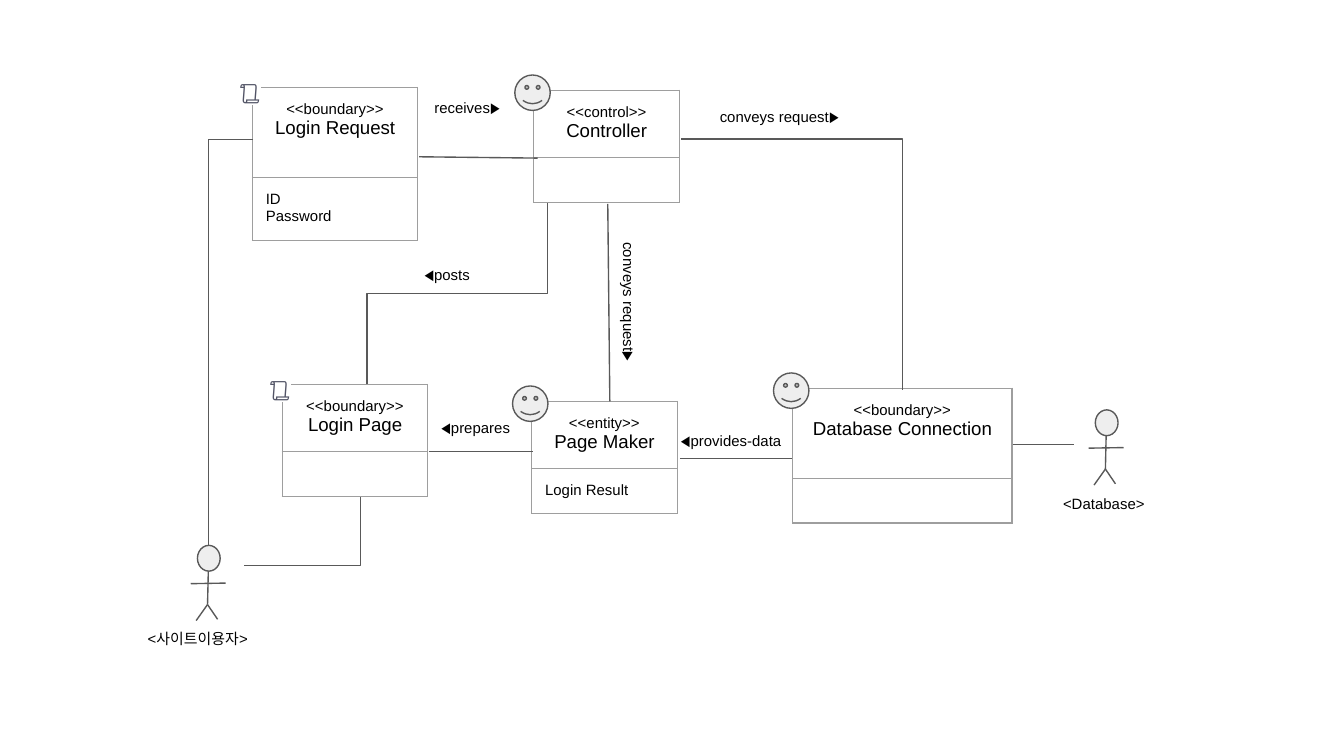
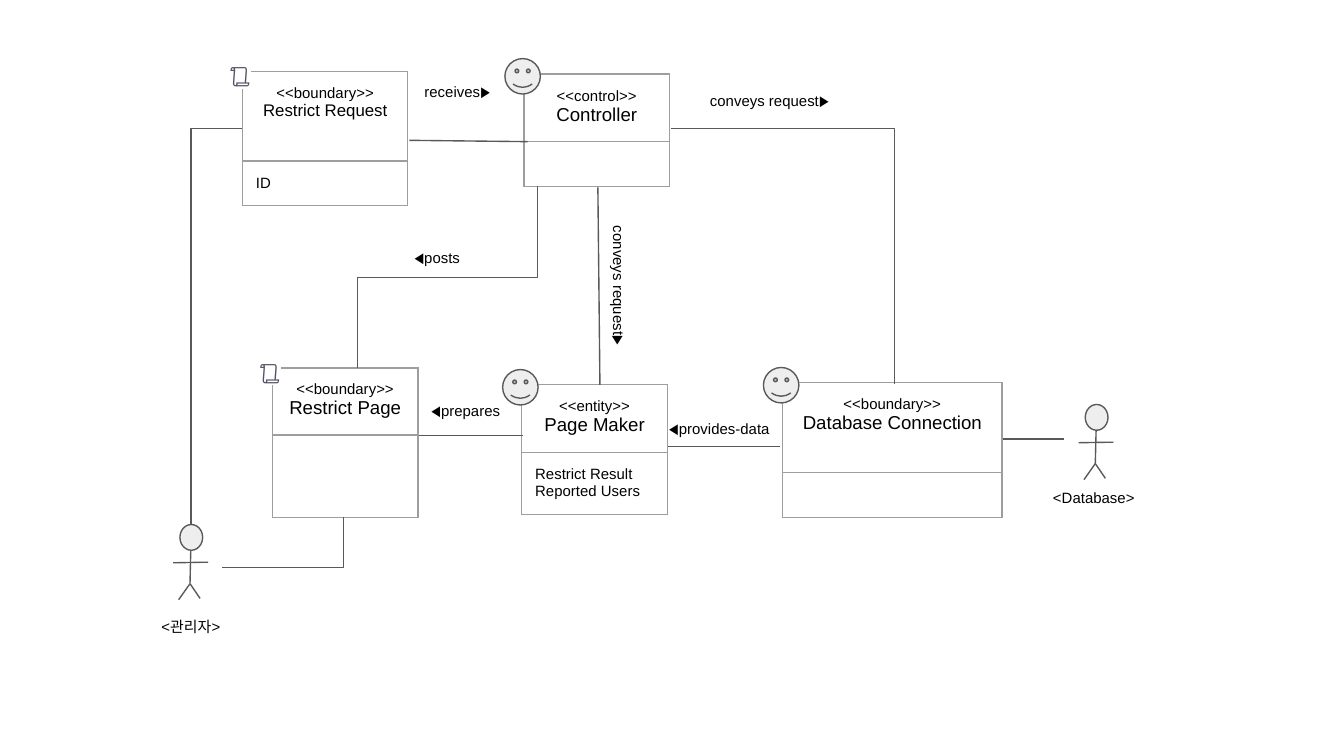
from dataclasses import dataclass
from typing import NamedTuple

from lxml.etree import SubElement
from pptx import Presentation
from pptx.dml.color import RGBColor
from pptx.enum.shapes import MSO_CONNECTOR, MSO_SHAPE
from pptx.enum.text import MSO_AUTO_SIZE, PP_ALIGN
from pptx.oxml.ns import qn
from pptx.slide import Slide
from pptx.util import Pt

FONT = "Arial"
BLACK, INK, BORDER = "000000", "595959", "9E9E9E"
FACE, SCROLL, WHITE = "EEEEEE", "515365", "FFFFFF"
INSET = 7.2
LABEL_HEIGHT = 24.5
FACE_SIZE = 19
HEAD_WIDTH, HEAD_HEIGHT = 12.2, 13.8
# Spine, two legs and arms, measured from the head's top left corner
LIMBS = [(5.8, 13.8, 5.4, 31.7), (5.4, 31.7, -0.7, 40.3),
         (5.4, 31.7, 10.8, 39.6), (-3.6, 20.5, 15.1, 20.2)]


class Point(NamedTuple):
    x: float
    y: float

    def moved(self, shift: "Point") -> "Point":
        return Point(self.x + shift.x, self.y + shift.y)


class Link(NamedTuple):
    begin: Point
    end: Point

    def moved(self, shift: Point) -> "Link":
        return Link(self.begin.moved(shift), self.end.moved(shift))


@dataclass(frozen=True)
class ClassBox:
    corner: Point
    width: float
    stereotype: str
    name: str
    members: tuple[str, ...] = ()
    header: float = 36
    body: float = 24
    icon: str = "face"
    name_size: float = 10


@dataclass(frozen=True)
class Label:
    corner: Point
    width: float
    text: str
    align: PP_ALIGN = PP_ALIGN.LEFT
    rotation: float = 0


@dataclass(frozen=True)
class Actor:
    head: Point
    label: Label


@dataclass(frozen=True)
class Diagram:
    shift: Point
    provides_shift: Point
    database_shift: Point
    request: ClassBox
    page: ClassBox
    maker: ClassBox
    user: Actor
    elbows: tuple[Link, ...]


CONTROLLER = ClassBox(Point(286, 48.4), 78, "<<control>>", "Controller")
DATABASE = ClassBox(Point(424.6, 208), 117.6, "<<boundary>>",
                    "Database Connection", header=48.2)
DATABASE_ACTOR = Actor(Point(586.8, 219.6),
                       Label(Point(562.4, 259.9), 60, "<Database>"))
REQUEST_AT, PAGE_AT, MAKER_AT = Point(135.2, 46.9), Point(151.2, 205.9), Point(284.8, 215)

# Links and labels that keep their layout on both slides
LINKS = [Link(Point(224.6, 84), Point(288, 84.7)),    # request to controller
         Link(Point(229.8, 242), Point(285.6, 242)),  # page to page maker
         Link(Point(325.6, 109.2), Point(326.7, 215))]  # controller to page maker
POSTS_LINK = Link(Point(196.7, 205.9), Point(293.2, 108.7))
PROVIDES_LINK = Link(Point(364.3, 245.6), Point(424.4, 245.6))
DATABASE_LINK = Link(Point(542.6, 238.2), Point(575.4, 238.2))
LABELS = [
    Label(Point(211, 48), 78.5, "receives▶", PP_ALIGN.CENTER),
    Label(Point(229.2, 219.4), 73.4, "◀prepares"),
    Label(Point(370, 53), 95, "conveys request▶", PP_ALIGN.CENTER),
    Label(Point(286.8, 149.5), 95, "conveys request▶", PP_ALIGN.CENTER, 90),
    Label(Point(220.2, 137.4), 73.4, "◀posts"),
]
PROVIDES = Label(Point(357.6, 226.3), 73.4, "◀provides-data")

DIAGRAMS = [
    Diagram(
        Point(0, 0), Point(0, 0), Point(0, 0),
        ClassBox(REQUEST_AT, 88.6, "<<boundary>>", "Login Request",
                 ("ID", "Password"), 48.2, 33.4, "scroll"),
        ClassBox(PAGE_AT, 78, "<<boundary>>", "Login Page", icon="scroll"),
        ClassBox(MAKER_AT, 78, "<<entity>>", "Page Maker", ("Login Result",)),
        Actor(Point(105.8, 292.2), Label(Point(72, 332.6), 78, "<사이트이용자>")),
        (Link(Point(135.4, 74.6), Point(111.6, 292.2)),
         Link(Point(130.9, 303), Point(193.2, 266.4)),
         Link(Point(365, 74.4), Point(483.6, 209))),
    ),
    Diagram(
        Point(-5.3, -8.8), Point(-6.3, -6.5), Point(-5.4, -2.9),
        ClassBox(REQUEST_AT, 88.6, "<<boundary>>", "Restrict Request",
                 ("ID",), 48.2, 24, "scroll", 9),
        ClassBox(PAGE_AT, 78, "<<boundary>>", "Restrict Page",
                 body=44, icon="scroll"),
        ClassBox(MAKER_AT, 78, "<<entity>>", "Page Maker",
                 ("Restrict Result", "Reported Users"), body=33.6),
        Actor(Point(96.4, 281),
              Label(Point(63.3, 326.2), 78, "<관리자>", PP_ALIGN.CENTER)),
        (Link(Point(129.7, 69), Point(102.4, 281)),
         Link(Point(119, 304), Point(184, 277.2)),
         Link(Point(359.2, 68.8), Point(479.2, 205.6))),
    ),
]


def rgb(color: str) -> RGBColor:
    return RGBColor.from_string(color)


def style_paragraph(paragraph, size: float, color: str = BLACK,
                    align: PP_ALIGN = PP_ALIGN.LEFT) -> None:
    paragraph.alignment = align
    paragraph.font.name = FONT
    paragraph.font.size = Pt(size)
    paragraph.font.color.rgb = rgb(color)


def set_insets(holder) -> None:
    holder.margin_left = holder.margin_right = Pt(INSET)
    holder.margin_top = holder.margin_bottom = Pt(INSET)


def draw_text(slide: Slide, label: Label, size: float = 8, color: str = BLACK,
              height: float = LABEL_HEIGHT):
    box = slide.shapes.add_textbox(Pt(label.corner.x), Pt(label.corner.y),
                                   Pt(label.width), Pt(height))
    box.rotation = label.rotation
    frame = box.text_frame
    frame.word_wrap = True
    frame.auto_size = MSO_AUTO_SIZE.SHAPE_TO_FIT_TEXT
    set_insets(frame)
    paragraph = frame.paragraphs[0]
    paragraph.text = label.text
    style_paragraph(paragraph, size, color, label.align)
    return paragraph


def draw_label(slide: Slide, label: Label, shift: Point) -> None:
    draw_text(slide, Label(label.corner.moved(shift), label.width, label.text,
                           label.align, label.rotation))


def draw_link(slide: Slide, link: Link, kind=MSO_CONNECTOR.STRAIGHT):
    connector = slide.shapes.add_connector(
        kind, Pt(link.begin.x), Pt(link.begin.y), Pt(link.end.x), Pt(link.end.y))
    connector.line.color.rgb = rgb(INK)
    connector.line.width = Pt(0.75)
    SubElement(connector._element.spPr, qn("a:effectLst"))
    return connector


def draw_corner(slide: Slide, link: Link) -> None:
    """Run level from the beginning, then upright to the end."""
    connector = draw_link(slide, link, MSO_CONNECTOR.ELBOW)
    geometry = connector._element.spPr.find(qn("a:prstGeom"))
    adjustments = geometry.find(qn("a:avLst"))
    SubElement(adjustments, qn("a:gd"), name="adj1", fmla="val 100000")


def draw_upright_step(slide: Slide, link: Link) -> None:
    """Rise from the beginning, cross halfway and rise to the end."""
    (x1, y1), (x2, y2) = link
    middle_x, middle_y = (x1 + x2) / 2, (y1 + y2) / 2
    half_width, half_height = (y1 - y2) / 2, (x2 - x1) / 2
    unturned = Link(Point(middle_x - half_width, middle_y - half_height),
                    Point(middle_x + half_width, middle_y + half_height))
    connector = draw_link(slide, unturned, MSO_CONNECTOR.ELBOW)
    connector._element.spPr.find(qn("a:xfrm")).set("rot", str(270 * 60000))


def draw_round(slide: Slide, kind: MSO_SHAPE, corner: Point,
               width: float, height: float) -> None:
    shape = slide.shapes.add_shape(kind, Pt(corner.x), Pt(corner.y),
                                   Pt(width), Pt(height))
    shape.shadow.inherit = False
    shape.fill.solid()
    shape.fill.fore_color.rgb = rgb(FACE)
    shape.line.color.rgb = rgb(INK)
    shape.line.width = Pt(0.75)


def draw_actor(slide: Slide, actor: Actor, shift: Point = Point(0, 0)) -> None:
    head = actor.head.moved(shift)
    draw_round(slide, MSO_SHAPE.OVAL, head, HEAD_WIDTH, HEAD_HEIGHT)
    for x1, y1, x2, y2 in LIMBS:
        draw_link(slide, Link(Point(x1, y1), Point(x2, y2)).moved(head))
    draw_label(slide, actor.label, shift)


def draw_scroll(slide: Slide, corner: Point) -> None:
    scroll = draw_text(slide, Label(corner, 36, "📜"), 12, SCROLL, 28.8)
    properties = scroll.runs[0]._r.get_or_add_rPr()
    highlight = SubElement(properties, qn("a:highlight"))
    SubElement(highlight, qn("a:srgbClr"), val=WHITE)


def fill_cell(cell, lines: list[tuple[str, float]], align: PP_ALIGN) -> None:
    set_insets(cell)
    properties = cell._tc.get_or_add_tcPr()
    for side in ("lnL", "lnR", "lnT", "lnB"):
        border = SubElement(properties, qn(f"a:{side}"), w=str(Pt(0.75)))
        solid = SubElement(border, qn("a:solidFill"))
        SubElement(solid, qn("a:srgbClr"), val=BORDER)
    cell.fill.background()
    frame = cell.text_frame
    frame.text = "\n".join(text for text, _ in lines)
    for paragraph, (_, size) in zip(frame.paragraphs, lines):
        style_paragraph(paragraph, size, align=align)
    if not lines:  # keep an empty row low
        SubElement(frame.paragraphs[0]._p, qn("a:endParaRPr"), sz="800")


def draw_class(slide: Slide, box: ClassBox, shift: Point) -> None:
    corner = box.corner.moved(shift)
    table = slide.shapes.add_table(2, 1, Pt(corner.x), Pt(corner.y), Pt(box.width),
                                   Pt(box.header + box.body)).table
    table.first_row = table.horz_banding = False
    table.rows[0].height, table.rows[1].height = Pt(box.header), Pt(box.body)
    fill_cell(table.cell(0, 0), [(box.stereotype, 8), (box.name, box.name_size)],
              PP_ALIGN.CENTER)
    fill_cell(table.cell(1, 0), [(member, 8) for member in box.members],
              PP_ALIGN.LEFT)
    if box.icon == "scroll":
        draw_scroll(slide, corner.moved(Point(-14.4, -12.3)))
    else:
        draw_round(slide, MSO_SHAPE.SMILEY_FACE, corner.moved(Point(-10.2, -8.2)),
                   FACE_SIZE, FACE_SIZE)


def draw_diagram(slide: Slide, diagram: Diagram) -> None:
    # Classes and actors
    for box in (CONTROLLER, diagram.page, diagram.request, diagram.maker):
        draw_class(slide, box, diagram.shift)
    draw_class(slide, DATABASE, diagram.database_shift)
    draw_actor(slide, diagram.user)
    draw_actor(slide, DATABASE_ACTOR, diagram.database_shift)

    # Links
    for link in LINKS:
        draw_link(slide, link.moved(diagram.shift))
    draw_link(slide, PROVIDES_LINK.moved(diagram.provides_shift))
    draw_link(slide, DATABASE_LINK.moved(diagram.database_shift))
    for elbow in diagram.elbows:
        draw_corner(slide, elbow)
    draw_upright_step(slide, POSTS_LINK.moved(diagram.shift))

    # Link names
    for label in LABELS:
        draw_label(slide, label, diagram.shift)
    draw_label(slide, PROVIDES, diagram.provides_shift)


def main() -> None:
    deck = Presentation()
    deck.slide_width, deck.slide_height = Pt(720), Pt(405)
    for diagram in DIAGRAMS:
        draw_diagram(deck.slides.add_slide(deck.slide_layouts[6]), diagram)
    deck.save("out.pptx")


if __name__ == "__main__":
    main()
